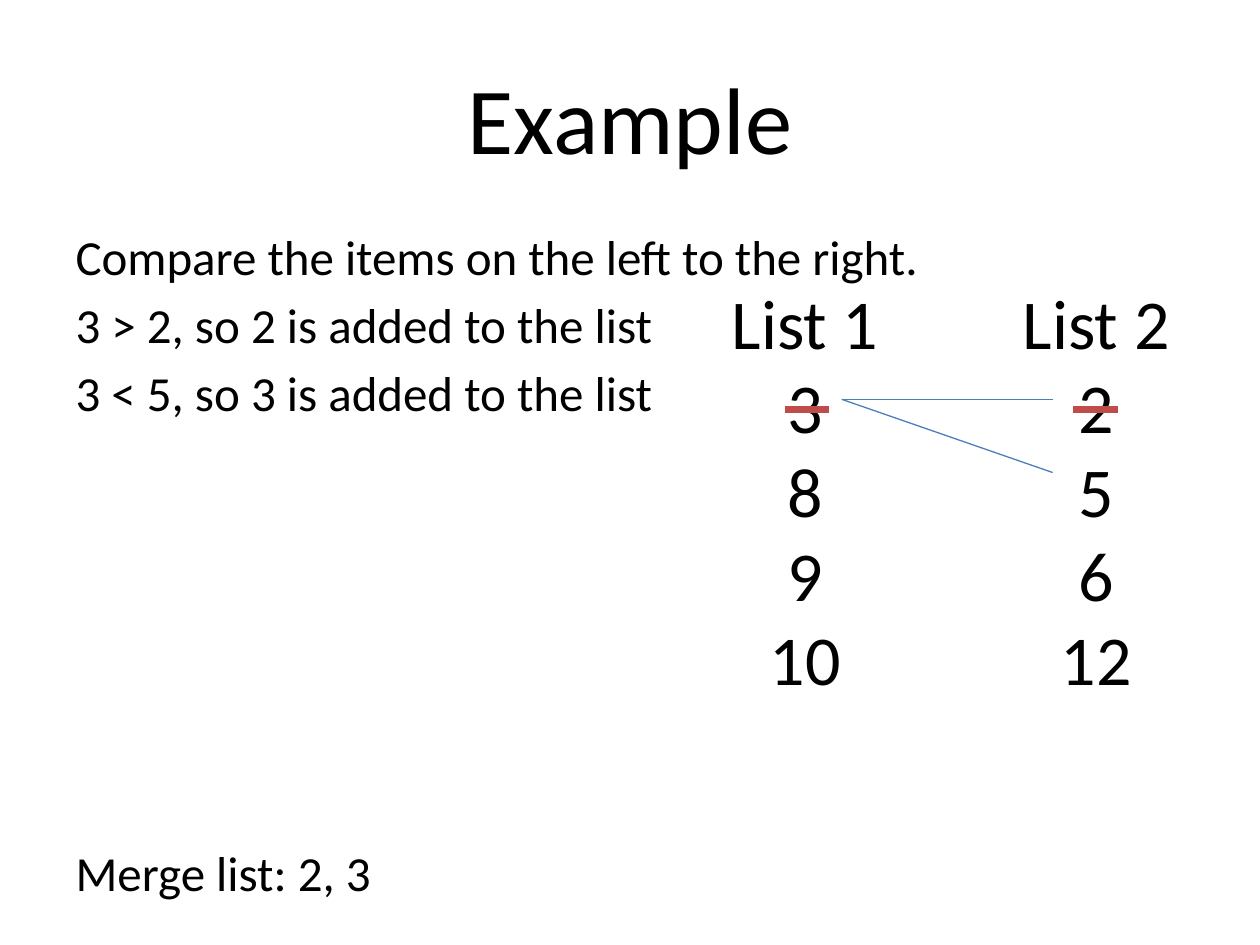
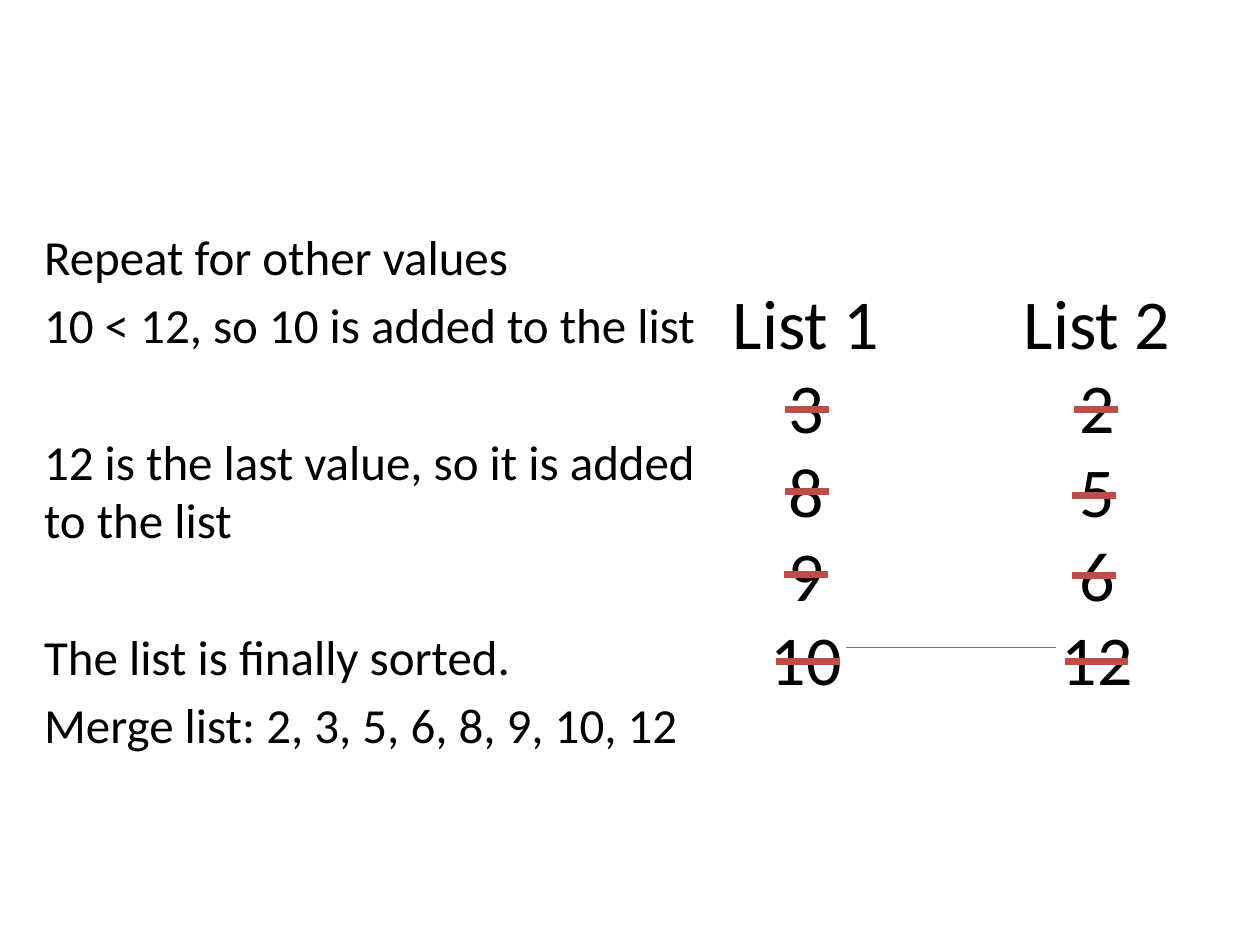
from dataclasses import dataclass

from lxml import etree
from pptx import Presentation
from pptx.dml.color import RGBColor
from pptx.enum import shapes, text
from pptx.oxml import ns
from pptx.util import Pt

# Shared style
HUES = {"ink": "000000", "link": "4B7EBC", "strike": "BF4C48"}
FONT = "Calibri"
GAP = 5.1      # space before a body line
STEP = 39.3    # body line with its gap
LISTS = {"List 1": (3, 8, 9, 10), "List 2": (2, 5, 6, 12)}
PITCH = 166.3  # from one list to the next
LONG = 120.5   # width of a comparison


@dataclass
class Box:
    left: float
    top: float
    width: float
    height: float


@dataclass
class Line:
    left: float
    top: float
    width: float
    drop: float = 0
    hue: str = "link"
    weight: float = 0.75


@dataclass
class Para:
    words: str
    skip: int = 0  # empty rows above


def strike(left: float, top: float, width: float = 25.2) -> Line:
    return Line(left, top, width, hue="strike", weight=4)


def place(shape, box: Box) -> None:
    shape.left, shape.top = Pt(box.left), Pt(box.top)
    shape.width, shape.height = Pt(box.width), Pt(box.height)


def write(shape, paras: list[Para], *, size: float, gap: float = 0,
          align=text.PP_ALIGN.LEFT) -> None:
    """Fill a shape with plain paragraphs in the shared font."""
    frame = shape.text_frame
    frame.word_wrap = True
    frame.auto_size = text.MSO_AUTO_SIZE.NONE
    for i, item in enumerate(paras):
        para = frame.add_paragraph() if i else frame.paragraphs[0]
        para.alignment = align
        para.space_before = Pt(gap + item.skip * STEP)
        props = para._p.get_or_add_pPr()
        props.set("marL", "0")
        props.set("indent", "0")
        etree.SubElement(props, ns.qn("a:buNone"))
        run = para.add_run()
        run.text = item.words
        run.font.name, run.font.size = FONT, Pt(size)
        run.font.color.rgb = RGBColor.from_string(HUES["ink"])


def draw(slide, line: Line) -> None:
    shape = slide.shapes.add_connector(
        shapes.MSO_CONNECTOR.STRAIGHT, Pt(line.left), Pt(line.top),
        Pt(line.left + line.width), Pt(line.top + line.drop))
    shape.line.color.rgb = RGBColor.from_string(HUES[line.hue])
    shape.line.width = Pt(line.weight)
    etree.SubElement(shape._element.spPr, ns.qn("a:effectLst"))


def build(deck, title: str, box: Box, paras: list[Para], left: float,
          lines: list[Line]) -> None:
    slide = deck.slides.add_slide(deck.slide_layouts[1])
    head, body = slide.placeholders

    # Title and steps
    if title:
        place(head, Box(0, 30.2, 720, 72.7))
        write(head, [Para(title)], size=54, align=text.PP_ALIGN.CENTER)
    else:
        head._element.getparent().remove(head._element)
    place(body, box)
    write(body, paras, size=28, gap=GAP)

    # The two lists
    for col, (name, nums) in enumerate(LISTS.items()):
        area = slide.shapes.add_textbox(0, 0, 0, 0)
        place(area, Box(left + col * PITCH, 156.2, 149.8, 249.8))
        write(area, [Para(str(word)) for word in (name, *nums)],
              size=40, align=text.PP_ALIGN.CENTER)

    # Comparisons and struck numbers
    for line in lines:
        draw(slide, line)


deck = Presentation()
deck.slide_width, deck.slide_height = Pt(720), Pt(540)

build(deck, "Example", Box(36, 126, 648, 54), [
    Para("Compare the items on the left to the right."),
    Para("3 > 2, so 2 is added to the list"),
    Para("3 < 5, so 3 is added to the list"),
    Para("Merge list: 2, 3", skip=6),
], 385.2, [
    Line(481, 228.2, LONG), Line(481, 228.2, LONG, drop=41.8),
    strike(448.4, 234), strike(613.4, 234),
])

build(deck, "", Box(18, 126, 390, 354), [
    Para("Repeat for other values"),
    Para("10 < 12, so 10 is added to the list"),
    Para("12 is the last value, so it is added to the list", skip=1),
    Para("The list is finally sorted.", skip=1),
    Para("Merge list: 2, 3, 5, 6, 8, 9, 10, 12"),
], 385.7, [
    Line(483.2, 370.1, LONG),
    strike(448.8, 234), strike(613.7, 234),
    strike(448.8, 280.8), strike(612.7, 283),
    strike(447.9, 328.5), strike(612.7, 328.8),
    strike(443.5, 378, 36.4), strike(608.4, 378, 36.4),
])

deck.save("out.pptx")
